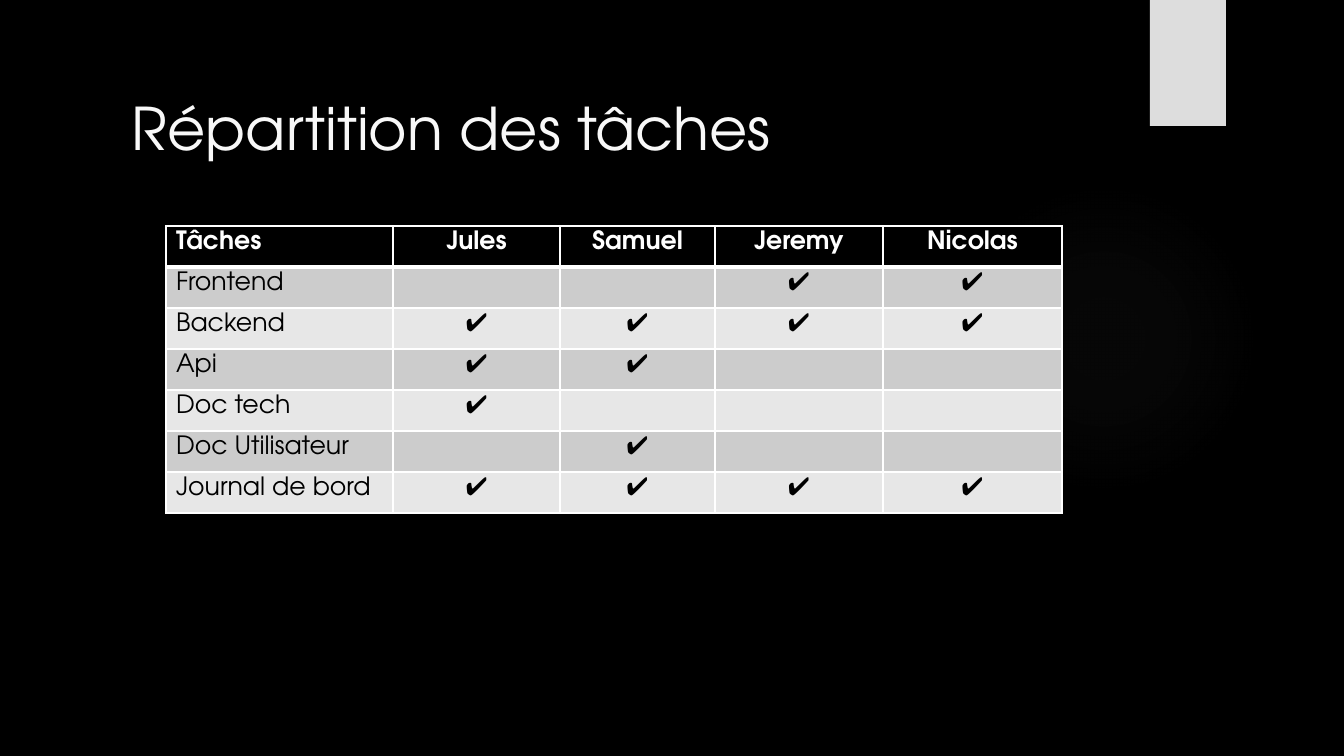
import pptx
import pptx.dml.color
import pptx.enum.shapes
import pptx.enum.text
import pptx.oxml
import pptx.oxml.ns
import pptx.util

RGBColor = pptx.dml.color.RGBColor
Align = pptx.enum.text.PP_ALIGN
Anchor = pptx.enum.text.MSO_ANCHOR
Preset = pptx.enum.shapes.MSO_SHAPE
qn = pptx.oxml.ns.qn

EMU_PER_PX = 914400 / 100.8
FONT = "TeX Gyre Adventor"
BLACK = RGBColor(0x00, 0x00, 0x00)
WHITE = RGBColor(0xFF, 0xFF, 0xFF)
TITLE_WHITE = RGBColor(0xF8, 0xF8, 0xF8)
TAB_GREY = RGBColor(0xDD, 0xDD, 0xDD)
GLOW_GREY = RGBColor(0x5F, 0x5F, 0x5F)
DARK_BAND = RGBColor(0xCC, 0xCC, 0xCC)
LIGHT_BAND = RGBColor(0xE7, 0xE7, 0xE7)

MEMBERS = ["Jules", "Samuel", "Jeremy", "Nicolas"]
TASKS = {
    "Frontend": ["Jeremy", "Nicolas"],
    "Backend": MEMBERS,
    "Api": ["Jules", "Samuel"],
    "Doc tech": ["Jules"],
    "Doc Utilisateur": ["Samuel"],
    "Journal de bord": MEMBERS,
}
COLUMN_WIDTHS = [227, 167, 155, 168, 179]
ROW_HEIGHT = 41


def px(length):
    return pptx.util.Emu(round(length * EMU_PER_PX))


def xml(markup):
    tag, rest = markup.split(" ", 1)
    return pptx.oxml.parse_xml(f'{tag} {pptx.oxml.ns.nsdecls("a")} {rest}')


def write(frame, text, size=18, color=BLACK, bold=False, align=Align.LEFT):
    paragraph = frame.paragraphs[0]
    paragraph.alignment = align
    run = paragraph.add_run()
    run.text = text
    run.font.name = FONT
    run.font.size = pptx.util.Pt(size)
    run.font.bold = bold
    run.font.color.rgb = color


def add_plain_shape(slide, preset, left, top, width, height):
    shape = slide.shapes.add_shape(preset, px(left), px(top), px(width), px(height))
    shape.shadow.inherit = False
    shape.line.fill.background()
    return shape


def add_glow(slide):
    glow = add_plain_shape(slide, Preset.OVAL, 949, 184, 310, 310)
    glow.fill.background()
    stops = "".join(
        f'<a:gs pos="{position}000"><a:srgbClr val="{GLOW_GREY}">'
        f'<a:alpha val="{alpha}000"/></a:srgbClr></a:gs>'
        for position, alpha in [(0, 7), (36, 6), (69, 0)]
    )
    gradient = xml(
        f'<a:gradFill rotWithShape="1"><a:gsLst>{stops}</a:gsLst><a:path path="circle">'
        '<a:fillToRect l="50000" t="50000" r="50000" b="50000"/></a:path></a:gradFill>'
    )
    properties = glow._element.spPr
    properties.replace(properties.find(qn("a:noFill")), gradient)


def add_corner_tab(slide):
    tab = add_plain_shape(slide, Preset.RECTANGLE, 1150, 0, 76, 126)
    tab.fill.solid()
    tab.fill.fore_color.rgb = TAB_GREY
    tab._element.spPr.find(qn("a:effectLst")).append(xml(
        '<a:outerShdw blurRad="38100" dist="25400" dir="5400000" rotWithShape="0">'
        f'<a:srgbClr val="{BLACK}"><a:alpha val="45000"/></a:srgbClr></a:outerShdw>'
    ))


def add_title(slide, text):
    title = slide.shapes.add_textbox(px(122), px(50), px(987), px(154))
    title.text_frame.word_wrap = True
    title.text_frame.vertical_anchor = Anchor.MIDDLE
    write(title.text_frame, text, size=42, color=TITLE_WHITE)


def style_cell(cell, fill, top=1, bottom=1):
    cell.fill.solid()
    cell.fill.fore_color.rgb = fill
    properties = cell._tc.get_or_add_tcPr()
    sides = [("L", 1), ("R", 1), ("T", top), ("B", bottom)]
    for position, (side, points) in enumerate(sides):
        properties.insert(position, xml(
            f'<a:ln{side} w="{pptx.util.Pt(points)}"><a:solidFill>'
            f'<a:srgbClr val="{WHITE}"/></a:solidFill></a:ln{side}>'
        ))


def add_task_table(slide):
    rows = [["Tâches", *MEMBERS]] + [
        [task, *("✔" if member in assigned else "" for member in MEMBERS)]
        for task, assigned in TASKS.items()
    ]
    table = slide.shapes.add_table(
        len(rows), len(COLUMN_WIDTHS), px(166), px(226),
        px(sum(COLUMN_WIDTHS)), px(ROW_HEIGHT * len(rows)),
    ).table
    for column, width in zip(table.columns, COLUMN_WIDTHS):
        column.width = px(width)
    for r, row in enumerate(rows):
        table.rows[r].height = px(ROW_HEIGHT)
        header = r == 0
        band = DARK_BAND if r % 2 else LIGHT_BAND
        for c, text in enumerate(row):
            cell = table.cell(r, c)
            style_cell(cell, BLACK if header else band,
                       top=3 if r == 1 else 1, bottom=3 if header else 1)
            if text:
                write(cell.text_frame, text, color=WHITE if header else BLACK,
                      bold=header, align=Align.CENTER if c else Align.LEFT)


def main():
    presentation = pptx.Presentation()
    presentation.slide_width = px(1344)
    presentation.slide_height = px(756)
    slide = presentation.slides.add_slide(presentation.slide_layouts[6])
    slide.background.fill.solid()
    slide.background.fill.fore_color.rgb = BLACK
    add_glow(slide)
    add_corner_tab(slide)
    add_title(slide, "Répartition des tâches")
    add_task_table(slide)
    presentation.save("out.pptx")


if __name__ == "__main__":
    main()
